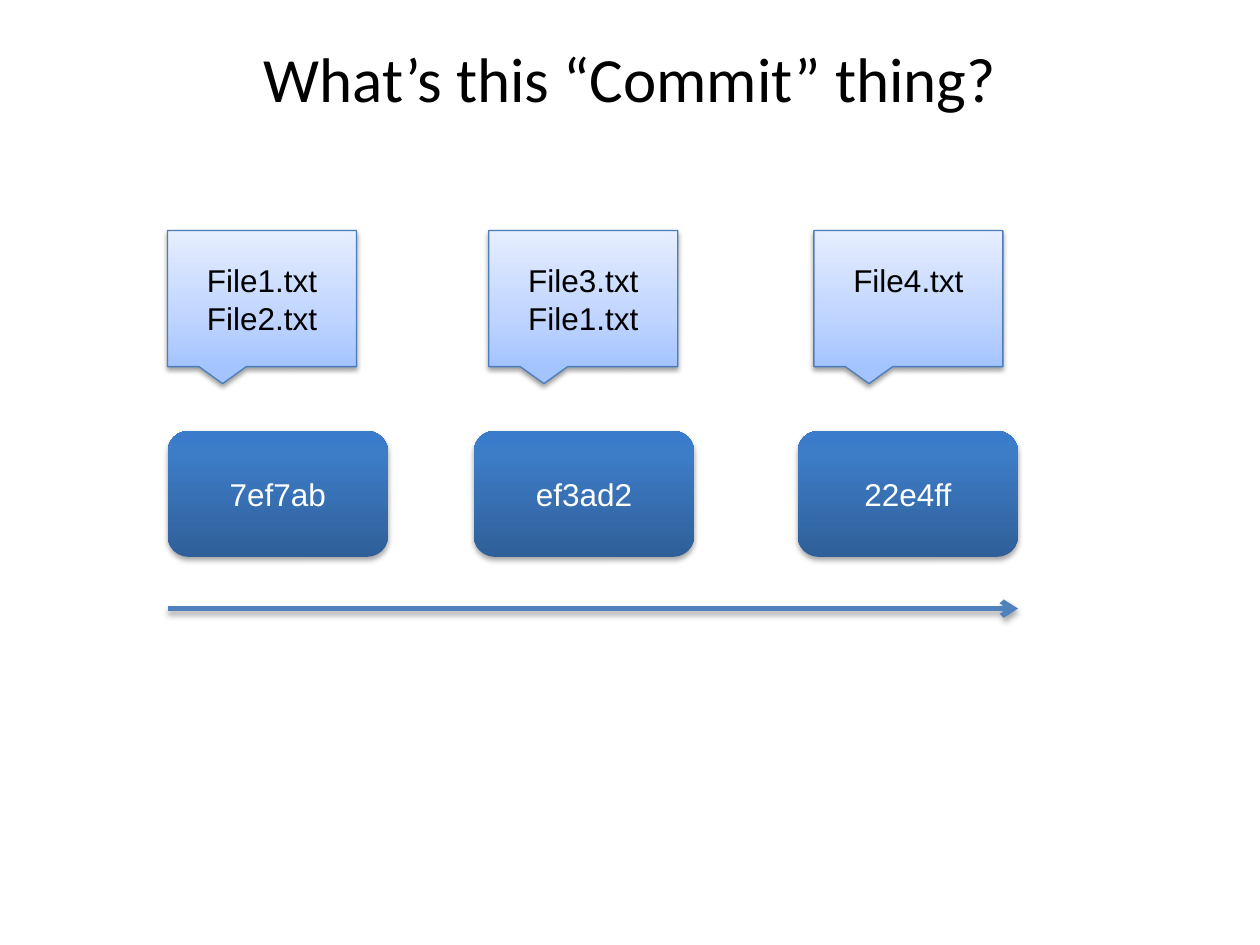
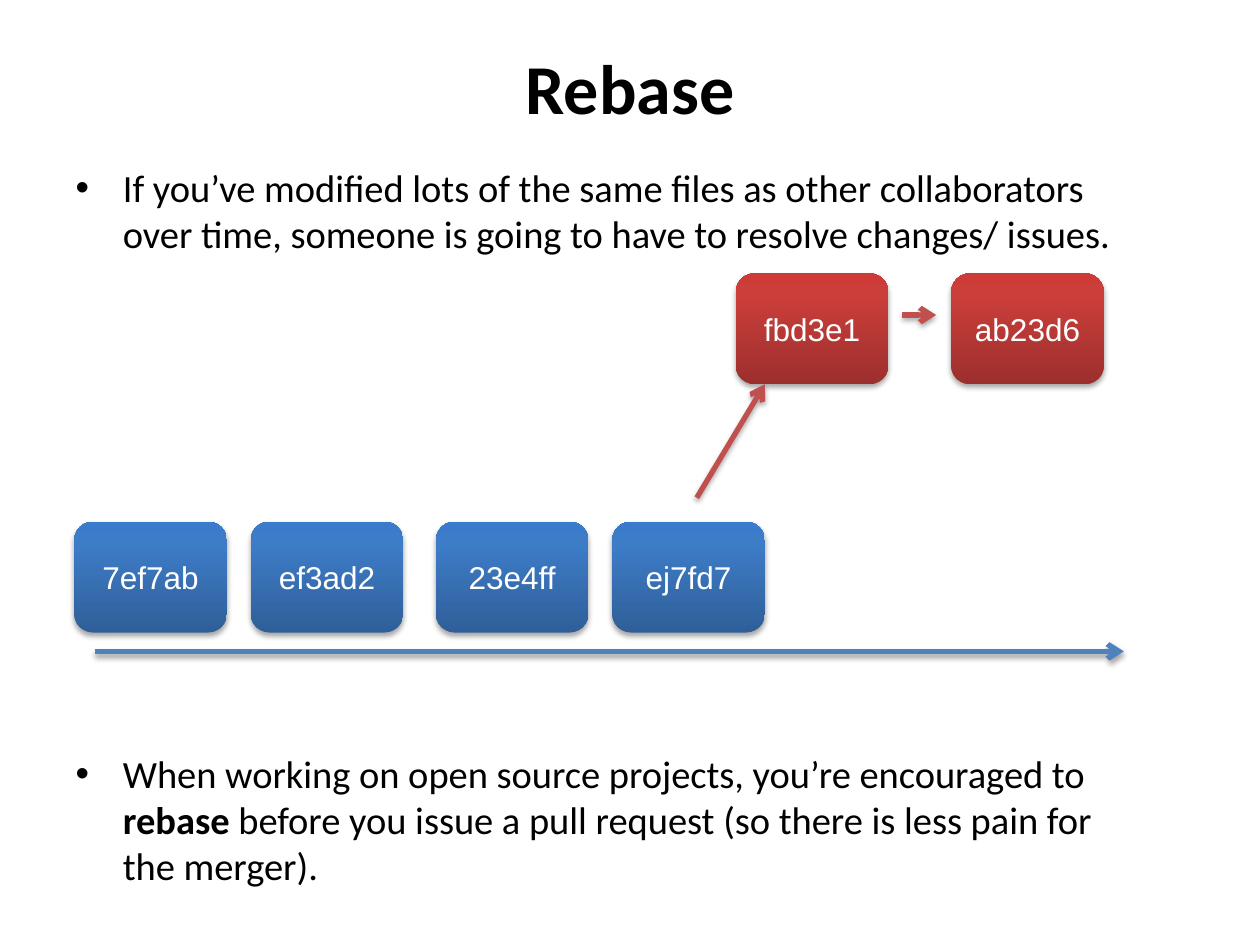
from dataclasses import dataclass

from lxml import etree
from pptx import Presentation
from pptx.dml.color import RGBColor
from pptx.enum.shapes import MSO_CONNECTOR, MSO_SHAPE
from pptx.enum.text import MSO_ANCHOR, MSO_AUTO_SIZE, PP_ALIGN
from pptx.oxml.ns import qn
from pptx.util import Inches, Pt

ROUNDED = MSO_SHAPE.ROUNDED_RECTANGLE
CALLOUT = MSO_SHAPE.RECTANGULAR_CALLOUT
STRAIGHT = MSO_CONNECTOR.STRAIGHT
MIDDLE = MSO_ANCHOR.MIDDLE
CENTER = PP_ALIGN.CENTER
NO_AUTOFIT = MSO_AUTO_SIZE.NONE


@dataclass(frozen=True)
class Theme:
    heading_font: str = "Calibri"
    label_font: str = "Arial"
    ink: str = "000000"
    white: str = "FFFFFF"
    blue: str = "4F81BD"
    red: str = "C0504D"
    callout_line: str = "4B7EBC"
    blue_fill: tuple = ((0, "2F5F99"), (80, "3D7CC7"), (100, "3A7CCB"))
    red_fill: tuple = ((0, "9C2F2D"), (80, "CB3E3A"), (100, "CE3B37"))
    callout_fill: tuple = ((0, "A4C4FF"), (35, "BFD4FF"), (100, "E6EEFF"))
    body_size: int = 22
    label_size: int = 18


T = Theme()


def rgb(color):
    return RGBColor.from_string(color)


def set_font(p, name, size, color):
    p.font.name = name
    p.font.size = Pt(size)
    p.font.color.rgb = rgb(color)


def place(shape, x, y, w, h):
    shape.left, shape.top = Inches(x), Inches(y)
    shape.width, shape.height = Inches(w), Inches(h)


def add_shadow(shape, alpha=35, dist=1.8):
    effects = etree.SubElement(shape._element.spPr, qn("a:effectLst"))
    shadow = etree.SubElement(
        effects, qn("a:outerShdw"), blurRad=str(Pt(3.1)), dist=str(Pt(dist)),
        dir="5400000", rotWithShape="0")
    color = etree.SubElement(shadow, qn("a:srgbClr"), val=T.ink)
    etree.SubElement(color, qn("a:alpha"), val=str(alpha * 1000))


def fill_gradient(shape, stops):
    shape.fill.gradient()
    shape.fill.gradient_angle = 90
    gs_list = shape._element.spPr.find(".//" + qn("a:gsLst"))
    for gs in list(gs_list):
        gs_list.remove(gs)
    for pos, color in stops:
        gs = etree.SubElement(gs_list, qn("a:gs"), pos=str(pos * 1000))
        etree.SubElement(gs, qn("a:srgbClr"), val=color)


def set_labels(shape, lines, color):
    tf = shape.text_frame
    tf.word_wrap = True
    tf.vertical_anchor = MIDDLE
    tf.text = "\n".join(lines)
    for p in tf.paragraphs:
        p.alignment = CENTER
        set_font(p, T.label_font, T.label_size, color)
    return tf


def add_commit(s, label, x, y, w, h, stops=T.blue_fill):
    sp = s.shapes.add_shape(ROUNDED, Inches(x), Inches(y), Inches(w), Inches(h))
    fill_gradient(sp, stops)
    sp.line.fill.background()
    add_shadow(sp)
    set_labels(sp, [label], T.white)


def add_file_callout(s, files, x, y=1.83, w=1.5, h=1.08):
    sp = s.shapes.add_shape(CALLOUT, Inches(x), Inches(y), Inches(w), Inches(h))
    fill_gradient(sp, T.callout_fill)
    sp.line.color.rgb = rgb(T.callout_line)
    sp.line.width = Pt(0.75)
    add_shadow(sp, alpha=38, dist=1.6)
    tf = set_labels(sp, files, T.ink)
    tf.margin_bottom = Inches(0.05 + 0.3 * (2 - len(files)))


def add_arrow(s, x1, y1, x2, y2, color=T.blue):
    line = s.shapes.add_connector(
        STRAIGHT, Inches(x1), Inches(y1), Inches(x2), Inches(y2))
    line.line.color.rgb = rgb(color)
    line.line.width = Pt(3)
    etree.SubElement(line.line._get_or_add_ln(), qn("a:tailEnd"), type="arrow")
    add_shadow(line)


def set_title(s, text, size, height, bold=False):
    title = s.shapes.title
    place(title, 0.5, 0.3, 9, height)
    tf = title.text_frame
    tf.auto_size = NO_AUTOFIT
    tf.vertical_anchor = MIDDLE
    tf.text = text
    p = tf.paragraphs[0]
    p.alignment = CENTER
    set_font(p, T.heading_font, size, T.ink)
    p.font.bold = bold


def set_bullets(s, bullets):
    body = s.placeholders[1]
    place(body, 0.5, 1.25, 8.75, 5.92)
    tf = body.text_frame
    tf.auto_size = NO_AUTOFIT
    for i, (space, runs) in enumerate(bullets):
        p = tf.add_paragraph() if i else tf.paragraphs[0]
        p.space_before = Pt(space)
        set_font(p, T.heading_font, T.body_size, T.ink)
        for text, bold in runs:
            r = p.add_run()
            r.text = text
            r.font.bold = bold


def build_commit_slide(prs):
    s = prs.slides.add_slide(prs.slide_layouts[5])
    set_title(s, "What’s this “Commit” thing?", 36, 0.62)
    for label, x in (("7ef7ab", 1.33), ("ef3ad2", 3.76), ("22e4ff", 6.33)):
        add_commit(s, label, x, 3.42, 1.75, 1)
    add_arrow(s, 1.33, 4.83, 8.08, 4.83)
    for files, x in ((["File1.txt", "File2.txt"], 1.33),
                     (["File3.txt", "File1.txt"], 3.88),
                     (["File4.txt"], 6.46)):
        add_file_callout(s, files, x)


def build_rebase_slide(prs):
    s = prs.slides.add_slide(prs.slide_layouts[1])
    set_title(s, "Rebase", 40, 0.78, bold=True)
    set_bullets(s, [
        (4.4, [("If you’ve modified lots of the same files as other collaborators "
                "over time, someone is going to have to resolve changes/ issues.",
                False)]),
        (282, [("When working on open source projects, you’re encouraged to ", False),
               ("rebase", True),
               (" before you issue a pull request (so there is less pain for "
                "the merger).", False)]),
    ])
    for label, x in (("7ef7ab", 0.59), ("ef3ad2", 1.99),
                     ("23e4ff", 3.46), ("ej7fd7", 4.86)):
        add_commit(s, label, x, 4.14, 1.21, 0.88)
    for label, x in (("fbd3e1", 5.84), ("ab23d6", 7.55)):
        add_commit(s, label, x, 2.17, 1.21, 0.88, T.red_fill)
    add_arrow(s, 0.75, 5.17, 8.92, 5.17)
    add_arrow(s, 5.53, 3.95, 6.07, 3.05, T.red)
    add_arrow(s, 7.16, 2.5, 7.43, 2.5, T.red)


def main():
    prs = Presentation()
    prs.slide_width, prs.slide_height = Inches(10), Inches(7.5)
    build_commit_slide(prs)
    build_rebase_slide(prs)
    prs.save("out.pptx")


main()
